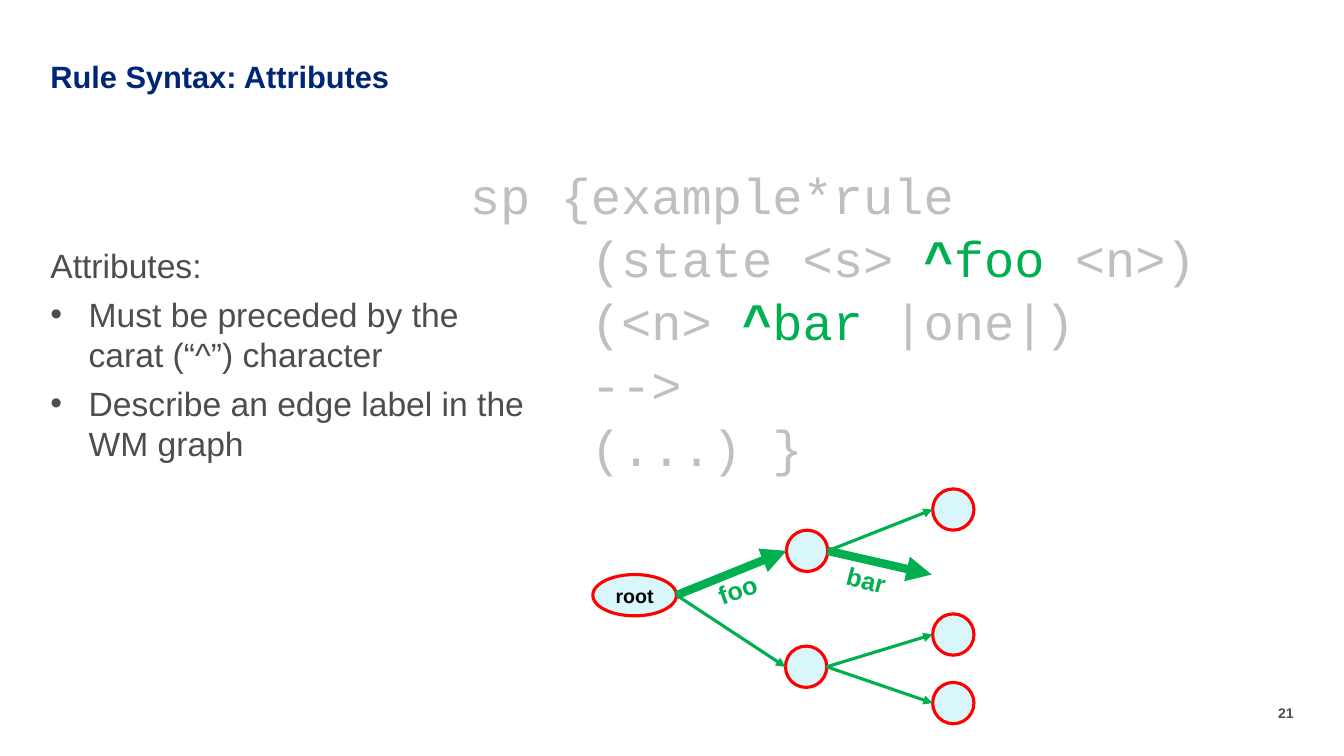
from lxml.etree import SubElement
from pptx import Presentation
from pptx.dml.color import RGBColor
from pptx.enum.shapes import MSO_CONNECTOR, MSO_SHAPE
from pptx.enum.text import MSO_ANCHOR, MSO_AUTO_SIZE, PP_ALIGN
from pptx.oxml.ns import qn
from pptx.util import Inches, Pt

GREEN, GRAY, SLATE = "00B050", "BFBFBF", "4B4D4F"
TITLE = "Rule Syntax: Attributes"
INTRO = "Attributes:"
BULLETS = [
    "Must be preceded by the carat (“^”) character",
    "Describe an edge label in the WM graph",
]
CODE = [
    [("sp {example*rule", GRAY, False)],
    [("    (state <s> ", GRAY, False), ("^", GREEN, True),
     ("foo ", GREEN, False), ("<n>)", GRAY, False)],
    [("    (<n> ", GRAY, False), ("^", GREEN, True),
     ("bar ", GREEN, False), ("|one|)", GRAY, False)],
    [("    -->", GRAY, False)],
    [("    (...) }", GRAY, False)],
]
NODE_HEIGHT = 0.41
NODES = {
    "root": (5.88, 5.7, 0.83),
    "upper": (7.8, 5.26, 0.41),
    "lower": (7.79, 6.41, 0.41),
    "top leaf": (9.25, 4.85, 0.41),
    "middle leaf": (9.25, 6.09, 0.41),
    "bottom leaf": (9.25, 6.77, 0.41),
}
BAR_END = (9.24, 5.7)
EDGES = [
    ("root", "upper", 6),
    ("root", "lower", 2.25),
    ("upper", "top leaf", 2.25),
    ("upper", BAR_END, 6),
    ("lower", "middle leaf", 2.25),
    ("lower", "bottom leaf", 2.25),
]
EDGE_LABELS = [("foo", 7.12, 5.7, 340), ("bar", 8.4, 5.6, 15)]


def color(hex_value):
    return RGBColor.from_string(hex_value)


def set_font(font, size, hex_value, bold=False, name="Arial"):
    font.name, font.size, font.bold = name, Pt(size), bold
    font.color.rgb = color(hex_value)


def clear_frame(frame, wrap=True):
    frame.margin_left = frame.margin_right = 0
    frame.margin_top = frame.margin_bottom = 0
    frame.word_wrap = wrap
    frame.auto_size = MSO_AUTO_SIZE.NONE
    frame.vertical_anchor = MSO_ANCHOR.TOP
    return frame


def add_frame(left, top, width, height, wrap=True, rotation=0):
    box = slide.shapes.add_textbox(*map(Inches, (left, top, width, height)))
    box.rotation = rotation
    return clear_frame(box.text_frame, wrap)


def next_paragraph(frame, index):
    if index == 0:
        return frame.paragraphs[0]
    paragraph = frame.add_paragraph()
    paragraph.space_before = Pt(6)
    return paragraph


def add_bullet(paragraph):
    properties = paragraph._p.get_or_add_pPr()
    properties.set("marL", str(Inches(0.38)))
    properties.set("indent", str(-Inches(0.38)))
    SubElement(properties, qn("a:buFont")).set("typeface", "Arial")
    SubElement(properties, qn("a:buChar")).set("char", "•")


def add_node(name):
    left, top, width = NODES[name]
    node = slide.shapes.add_shape(
        MSO_SHAPE.OVAL, *map(Inches, (left, top, width, NODE_HEIGHT)))
    node.shadow.inherit = False
    node.fill.solid()
    node.fill.fore_color.rgb = color("D9F6FA")
    node.line.color.rgb = color("FF0000")
    node.line.width = Pt(2.25)
    return node


def add_edge(source, target, weight):
    left, top, width = NODES[source]
    start = (left + width, top + NODE_HEIGHT / 2)
    if target in NODES:
        end = (NODES[target][0], NODES[target][1] + NODE_HEIGHT / 2)
    else:
        end = target
    edge = slide.shapes.add_connector(
        MSO_CONNECTOR.STRAIGHT, *map(Inches, start + end))
    edge.line.color.rgb = color(GREEN)
    edge.line.width = Pt(weight)
    SubElement(edge.line._get_or_add_ln(), qn("a:tailEnd")).set("type", "triangle")
    SubElement(edge._element.spPr, qn("a:effectLst"))


deck = Presentation()
deck.slide_width, deck.slide_height = Inches(13.33), Inches(7.5)
slide = deck.slides.add_slide(deck.slide_layouts[5])

title = slide.shapes.title
title.left, title.top, title.width, title.height = map(Inches, (0.5, 0.61, 4.58, 0.33))
clear_frame(title.text_frame).text = TITLE
heading = title.text_frame.paragraphs[0]
heading.alignment = PP_ALIGN.LEFT
heading.line_spacing = 0.9
set_font(heading.font, 22, "002677", True)

notes_frame = add_frame(0.5, 2.43, 4.86, 4.09)
for index, text in enumerate([INTRO] + BULLETS):
    paragraph = next_paragraph(notes_frame, index)
    paragraph.text = text
    if index:
        add_bullet(paragraph)
    set_font(paragraph.font, 24, SLATE)

code_frame = add_frame(4.66, 1.7, 8.06, 3.17)
for index, pieces in enumerate(CODE):
    paragraph = next_paragraph(code_frame, index)
    paragraph.line_spacing = 0.9
    for text, hue, bold in pieces:
        run = paragraph.add_run()
        run.text = text
        set_font(run.font, 36, hue, bold, "Courier New")

nodes = {name: add_node(name) for name in NODES}
root_frame = nodes["root"].text_frame
root_frame.text = "root"
root_frame.vertical_anchor = MSO_ANCHOR.MIDDLE
root_frame.paragraphs[0].alignment = PP_ALIGN.CENTER
set_font(root_frame.paragraphs[0].font, 14, "000000", True)

for source, target, weight in EDGES:
    add_edge(source, target, weight)

for text, left, top, rotation in EDGE_LABELS:
    label = add_frame(left, top, 0.39, 0.3, False, rotation).paragraphs[0]
    label.text = text
    set_font(label.font, 18, GREEN, True)

page_number = add_frame(12.66, 6.99, 0.17, 0.17, False).paragraphs[0]
page_number.text = "21"
page_number.alignment = PP_ALIGN.RIGHT
set_font(page_number.font, 10, SLATE, True)

deck.save("out.pptx")
